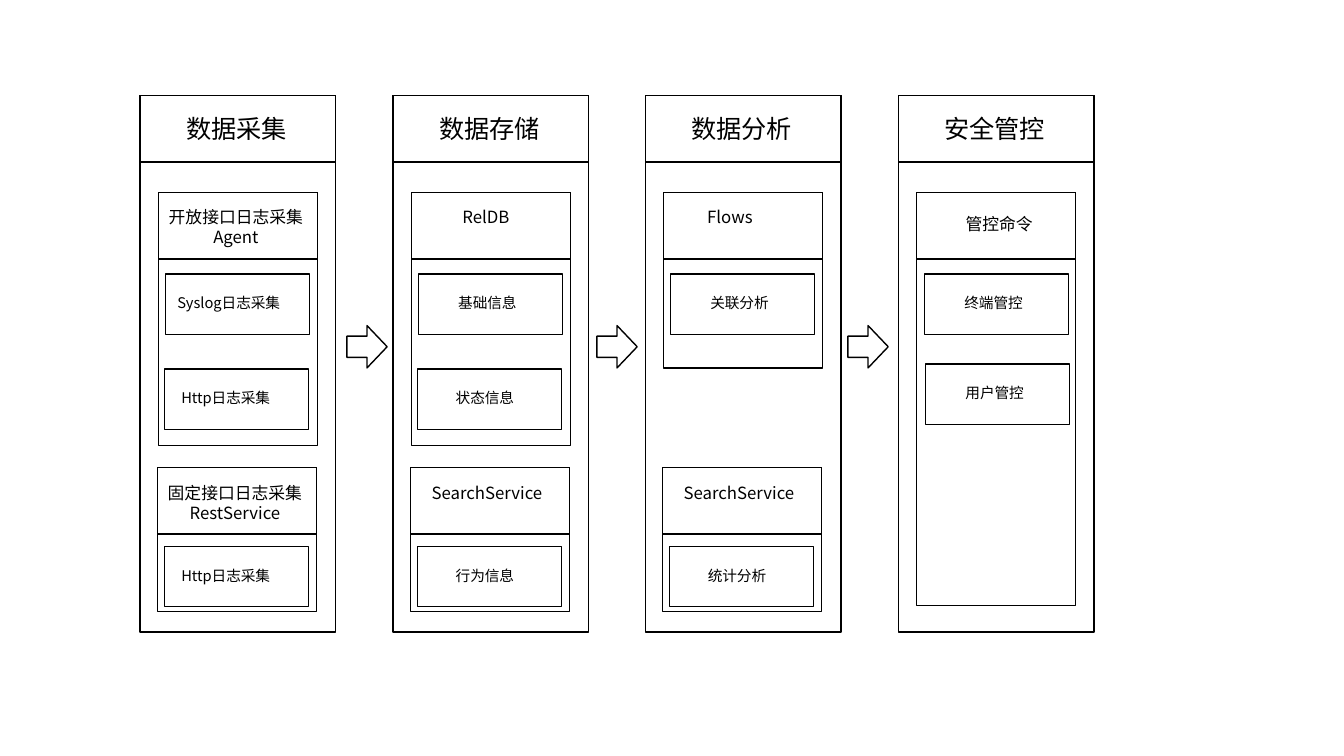
from pptx import Presentation
from pptx.dml.color import RGBColor
from pptx.enum.shapes import MSO_SHAPE
from pptx.enum.text import MSO_AUTO_SIZE, PP_ALIGN
from pptx.oxml.ns import qn
from pptx.util import Inches, Pt
from lxml.etree import SubElement

INK = "000000"
CJK = "Noto Sans CJK SC"
LEFT, MID = PP_ALIGN.LEFT, PP_ALIGN.CENTER

# Stages: left edge, title, item alignment, groups
# Group: left offset, top, height, (lines, centre offset, width, top of text), items
# Item: text, left offset, top, text inset, text width
STAGES = [
    (1.39, "数据采集", LEFT, [
        (0.18, 1.91, 2.51, (["开放接口日志采集", "Agent"], 0.95, 1.58, 2.0),
         [("Syslog日志采集", 0.25, 2.72, 0.02, 1.35),
          ("Http日志采集", 0.24, 3.66, 0.07, 1.2)]),
        (0.17, 4.64, 1.43, (["固定接口日志采集", "RestService"], 0.94, 1.58, 4.74),
         [("Http日志采集", 0.24, 5.42, 0.07, 1.2)])]),
    (3.9, "数据存储", MID, [
        (0.18, 1.91, 2.51, (["RelDB"], 0.92, 0.85, 2.0),
         [("基础信息", 0.25, 2.72, 0.01, 1.35),
          ("状态信息", 0.24, 3.66, 0.07, 1.2)]),
        (0.17, 4.64, 1.43, (["SearchService"], 0.93, 1.5, 4.74),
         [("行为信息", 0.24, 5.42, 0.07, 1.2)])]),
    (6.4, "数据分析", MID, [
        (0.18, 1.91, 1.74, (["Flows"], 0.84, 0.8, 2.0),
         [("关联分析", 0.25, 2.72, 0.01, 1.35)]),
        (0.17, 4.64, 1.43, (["SearchService"], 0.93, 1.5, 4.74),
         [("统计分析", 0.24, 5.42, 0.07, 1.2)])]),
    (8.91, "安全管控", MID, [
        (0.18, 1.91, 4.1, (["管控命令"], 1.0, 0.95, 2.07),
         [("终端管控", 0.26, 2.72, 0.01, 1.35),
          ("用户管控", 0.27, 3.61, 0.01, 1.35)])]),
]
ARROWS = [3.44, 5.92, 8.41]
HEAD = 0.66

deck = Presentation()
deck.slide_width, deck.slide_height = Inches(13.33), Inches(7.5)
slide = deck.slides.add_slide(deck.slide_layouts[6])


def color(code):
    return RGBColor.from_string(code)


def frame(x, y, w, h, kind=MSO_SHAPE.RECTANGLE):
    shape = slide.shapes.add_shape(kind, Inches(x), Inches(y), Inches(w), Inches(h))
    shape.shadow.inherit = False
    shape.fill.background()
    shape.line.color.rgb = color(INK)
    shape.line.width = Pt(1)


def write(lines, x, y, w, h, size=10.5, font=CJK, align=MID, wrap=False):
    box = slide.shapes.add_textbox(Inches(x), Inches(y), Inches(w), Inches(h))
    body = box.text_frame
    body.word_wrap = wrap
    body.auto_size = MSO_AUTO_SIZE.SHAPE_TO_FIT_TEXT
    for i, line in enumerate(lines):
        para = body.add_paragraph() if i else body.paragraphs[0]
        para.alignment = align
        run = para.add_run()
        run.text = line
        run.font.size = Pt(size)
        run.font.name = font
        run.font.color.rgb = color(INK)
        SubElement(run.font._element, qn("a:ea")).set("typeface", CJK)


for left, title, align, groups in STAGES:
    # Stage column and its title
    frame(left, 0.95, 1.94, 5.32)
    frame(left, 0.95, 1.94, HEAD)
    write([title], left + 0.35, 1.08, 1.21, 0.4, size=18, font="Calibri")

    for dx, top, high, (lines, mid, wide, y), items in groups:
        # Group frame and heading
        frame(left + dx, top, 1.58, high)
        frame(left + dx, top, 1.58, HEAD)
        write(lines, left + mid - wide / 2, y, wide, 0.1 + 0.2 * len(lines), size=12)

        # Items in the group
        for text, shift, row, inset, width in items:
            frame(left + shift, row, 1.43, 0.6)
            write([text], left + shift + inset, row + 0.15, width, 0.28,
                  align=align, wrap=True)

# Arrows between stages
for x in ARROWS:
    frame(x, 3.23, 0.4, 0.42, kind=MSO_SHAPE.RIGHT_ARROW)

deck.save("out.pptx")
